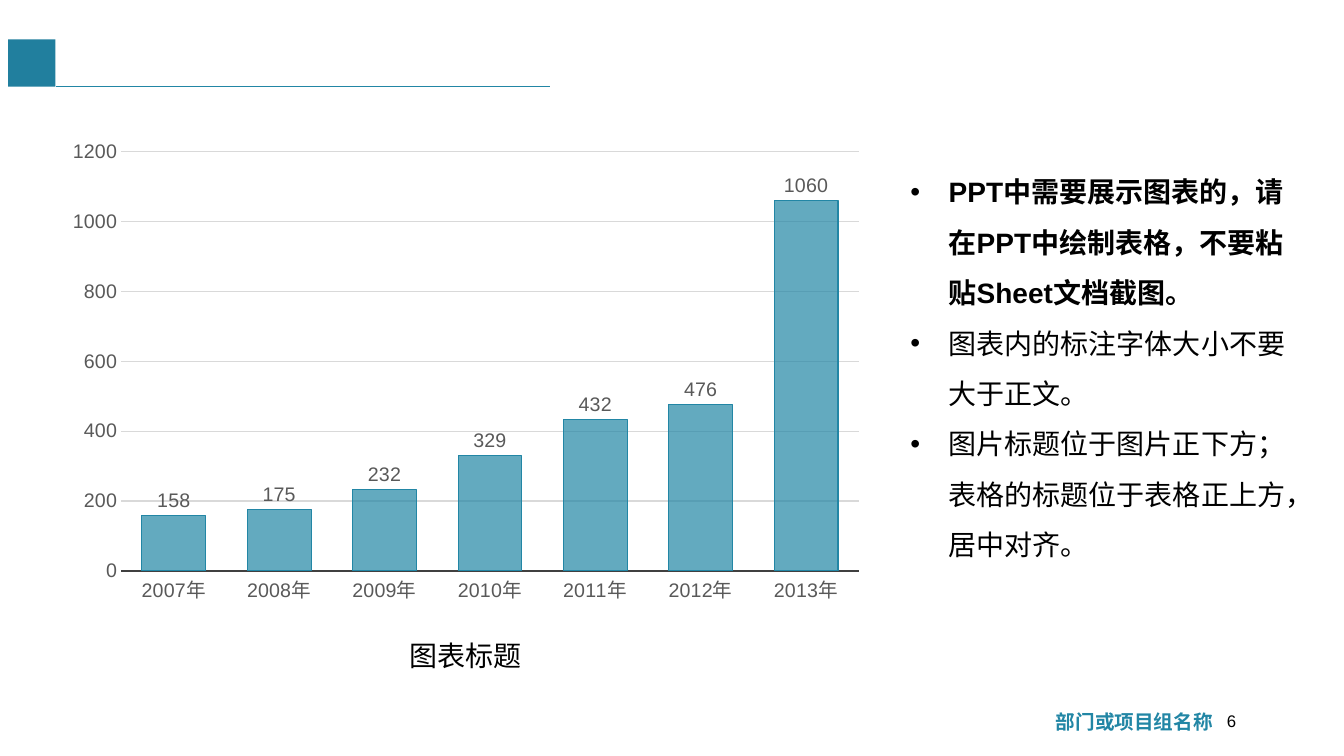
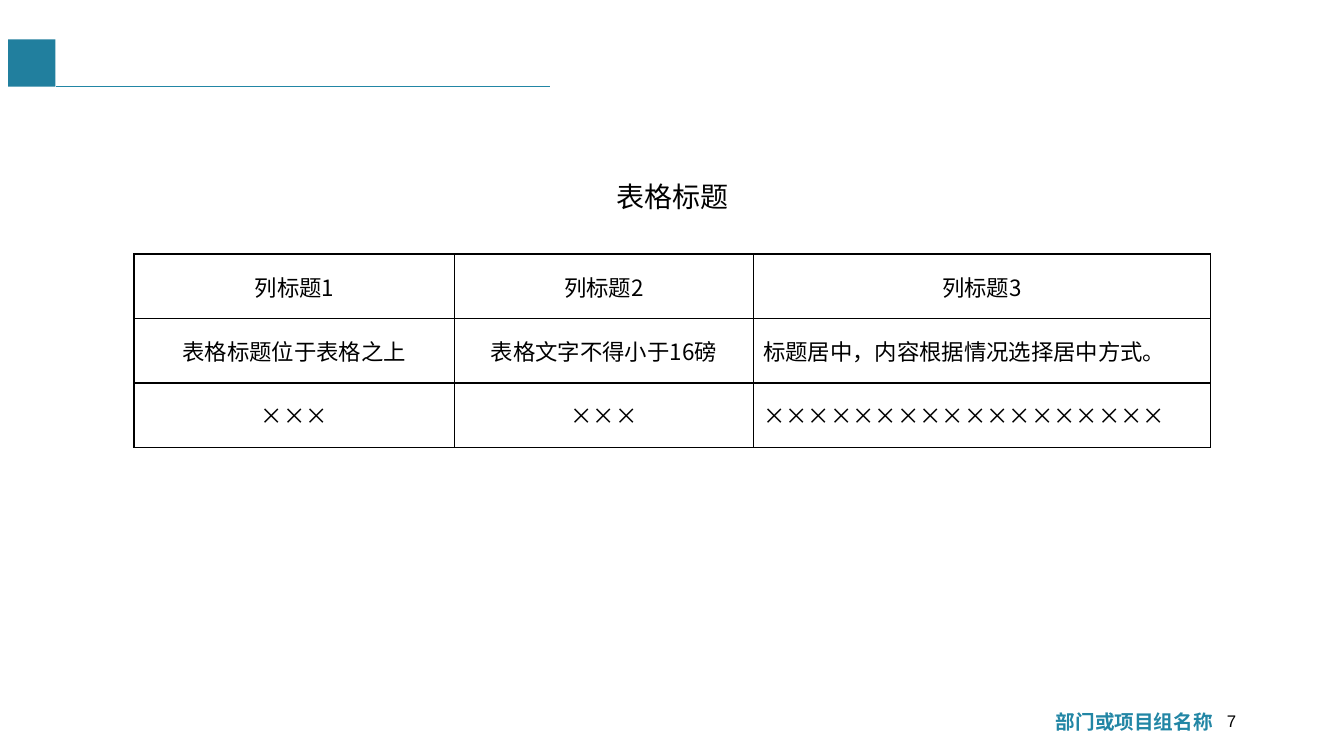
"""Build a chart slide and a table slide in one shared style."""
from dataclasses import dataclass

from lxml.etree import SubElement
from pptx import Presentation
from pptx.chart.data import CategoryChartData
from pptx.dml.color import RGBColor
from pptx.enum.chart import XL_CHART_TYPE, XL_LABEL_POSITION, XL_TICK_MARK
from pptx.enum.shapes import MSO_CONNECTOR, MSO_SHAPE
from pptx.enum.text import MSO_ANCHOR, MSO_AUTO_SIZE, PP_ALIGN
from pptx.oxml.ns import qn
from pptx.util import Inches, Pt


@dataclass(frozen=True)
class Theme:
    accent: RGBColor = RGBColor(0x22, 0x86, 0xA5)
    square: RGBColor = RGBColor(0x21, 0x7F, 0x9E)
    text: RGBColor = RGBColor(0, 0, 0)
    chart_text: RGBColor = RGBColor(0x59, 0x59, 0x59)
    axis: RGBColor = RGBColor(0x40, 0x40, 0x40)
    grid: RGBColor = RGBColor(0xD9, 0xD9, 0xD9)
    latin_font: str = "Arial"
    chinese_font: str = "Noto Sans CJK SC"
    body_size: int = 20
    table_size: int = 16
    chart_size: int = 14
    footer_size: int = 14
    number_size: int = 12


class Deck:
    def __init__(self, theme):
        self.theme = theme
        self.presentation = Presentation()
        self.presentation.slide_width = Inches(13.33)
        self.presentation.slide_height = Inches(7.5)
        self.slide = None

    def add_slide(self, number):
        theme = self.theme
        self.slide = self.presentation.slides.add_slide(self.presentation.slide_layouts[6])
        square = self.slide.shapes.add_shape(
            MSO_SHAPE.RECTANGLE, Inches(0.08), Inches(0.39), Inches(0.47), Inches(0.47))
        square.shadow.inherit = False
        square.fill.solid()
        square.fill.fore_color.rgb = theme.square
        square.line.fill.background()
        self.add_line(0.56, 0.86, 5.46, 0.86)
        self.add_text(["部门或项目组名称"], 7.57, 6.99, 4.56, 0.34, theme.footer_size,
                      PP_ALIGN.RIGHT, theme.accent, bold_count=1)
        page_number = self.add_text([str(number)], 9.36, 6.95, 3, 0.4,
                                    theme.number_size, PP_ALIGN.RIGHT)
        page_number.text_frame.auto_size = MSO_AUTO_SIZE.NONE
        page_number.text_frame.vertical_anchor = MSO_ANCHOR.MIDDLE

    def add_line(self, left, top, right, bottom):
        line = self.slide.shapes.add_connector(
            MSO_CONNECTOR.STRAIGHT, Inches(left), Inches(top), Inches(right), Inches(bottom))
        line.line.color.rgb = self.theme.accent
        line.line.width = Pt(1)
        SubElement(line._element.spPr, qn("a:effectLst"))

    def style_font(self, font, size, color, name=None):
        font.size = Pt(size)
        font.color.rgb = color
        font.name = name or self.theme.latin_font

    def style_paragraph(self, paragraph, size, color, bold=False, name=None):
        self.style_font(paragraph.font, size, color, name)
        paragraph.font.bold = bold
        defaults = paragraph._p.pPr.find(qn("a:defRPr"))
        SubElement(defaults, qn("a:ea"), typeface=self.theme.chinese_font)

    def add_bullet(self, paragraph):
        properties = paragraph._p.get_or_add_pPr()
        properties.set("marL", str(Inches(0.38)))
        properties.set("indent", str(-Inches(0.38)))
        SubElement(properties, qn("a:buFont"), typeface=self.theme.latin_font)
        SubElement(properties, qn("a:buChar"), char="•")
        paragraph.line_spacing = 1.5

    def add_text(self, lines, left, top, width, height, size, alignment=PP_ALIGN.LEFT,
                 color=None, bold_count=0, bulleted=False):
        box = self.slide.shapes.add_textbox(
            Inches(left), Inches(top), Inches(width), Inches(height))
        frame = box.text_frame
        frame.word_wrap = True
        frame.auto_size = MSO_AUTO_SIZE.SHAPE_TO_FIT_TEXT
        frame.text = "\n".join(lines)
        for index, paragraph in enumerate(frame.paragraphs):
            paragraph.alignment = alignment
            if bulleted:
                self.add_bullet(paragraph)
            self.style_paragraph(paragraph, size, color or self.theme.text, index < bold_count)
        return box

    def add_column_chart(self, categories, values, left, top, width, height):
        theme = self.theme
        data = CategoryChartData()
        data.categories = categories
        data.add_series("Series 1", values)
        chart = self.slide.shapes.add_chart(
            XL_CHART_TYPE.COLUMN_CLUSTERED, Inches(left), Inches(top),
            Inches(width), Inches(height), data).chart
        chart.has_title = False
        chart.has_legend = False
        self.style_font(chart.font, theme.chart_size, theme.chart_text)

        for axis in (chart.category_axis, chart.value_axis):
            axis.major_tick_mark = XL_TICK_MARK.NONE
            axis.minor_tick_mark = XL_TICK_MARK.NONE
            self.style_font(axis.tick_labels.font, theme.chart_size, theme.chart_text)
        chart.category_axis.format.line.color.rgb = theme.axis
        chart.category_axis.format.line.width = Pt(1.5)
        value_axis = chart.value_axis
        value_axis.minimum_scale = 0
        value_axis.maximum_scale = 1200
        value_axis.major_unit = 200
        value_axis.format.line.fill.background()
        value_axis.major_gridlines.format.line.color.rgb = theme.grid
        value_axis.major_gridlines.format.line.width = Pt(0.75)

        plot = chart.plots[0]
        plot.gap_width = 65
        plot.vary_by_categories = False
        plot.has_data_labels = True
        labels = plot.data_labels
        labels.show_value = True
        labels.position = XL_LABEL_POSITION.OUTSIDE_END
        self.style_font(labels.font, theme.chart_size, theme.chart_text)
        columns = plot.series[0].format
        columns.fill.solid()
        columns.fill.fore_color.rgb = theme.accent
        columns.line.color.rgb = theme.accent
        columns.line.width = Pt(0.75)
        color = plot.series[0]._element.spPr.find(qn("a:solidFill"))[0]
        SubElement(color, qn("a:alpha"), val="70000")

    def add_borders(self, cell):
        properties = cell._tc.get_or_add_tcPr()
        for side in ("lnL", "lnR", "lnT", "lnB"):
            border = SubElement(properties, qn(f"a:{side}"), w=str(Pt(1)))
            fill = SubElement(border, qn("a:solidFill"))
            SubElement(fill, qn("a:srgbClr"), val=str(self.theme.text))

    def add_table(self, rows, column_widths, row_height, left, top):
        table = self.slide.shapes.add_table(
            len(rows), len(column_widths), Inches(left), Inches(top),
            Inches(sum(column_widths)), Inches(row_height * len(rows))).table
        table.first_row = False
        table.horz_banding = False
        for column, width in zip(table.columns, column_widths):
            column.width = Inches(width)
        for row_index, texts in enumerate(rows):
            table.rows[row_index].height = Inches(row_height)
            for column_index, text in enumerate(texts):
                cell = table.cell(row_index, column_index)
                cell.text = text
                cell.vertical_anchor = MSO_ANCHOR.MIDDLE
                self.add_borders(cell)
                cell.fill.background()
                paragraph = cell.text_frame.paragraphs[0]
                is_long_text = row_index > 0 and column_index == 2
                paragraph.alignment = PP_ALIGN.LEFT if is_long_text else PP_ALIGN.CENTER
                self.style_paragraph(paragraph, self.theme.table_size, self.theme.text,
                                     name=self.theme.chinese_font)


def main():
    theme = Theme()
    deck = Deck(theme)

    deck.add_slide(6)
    deck.add_column_chart([f"{year}年" for year in range(2007, 2014)],
                          [158, 175, 232, 329, 432, 476, 1060], 0.56, 1.3, 8.12, 4.78)
    deck.add_text(["图表标题"], 3.77, 6.29, 1.69, 0.44, theme.body_size, PP_ALIGN.CENTER)
    deck.add_text([
        "PPT中需要展示图表的，请在PPT中绘制表格，不要粘贴Sheet文档截图。",
        "图表内的标注字体大小不要大于正文。",
        "图片标题位于图片正下方；表格的标题位于表格正上方，居中对齐。",
    ], 8.93, 1.52, 4.05, 4.14, theme.body_size, bold_count=1, bulleted=True)

    deck.add_slide(7)
    deck.add_table([
        ["列标题1", "列标题2", "列标题3"],
        ["表格标题位于表格之上", "表格文字不得小于16磅", "标题居中，内容根据情况选择居中方式。"],
        ["×××", "×××", "××××××××××××××××××"],
    ], [3.18, 2.96, 4.54], 0.64, 1.33, 2.52)
    deck.add_text(["表格标题"], 0.56, 1.73, 12.22, 0.44, theme.body_size, PP_ALIGN.CENTER)

    deck.presentation.save("out.pptx")


if __name__ == "__main__":
    main()
